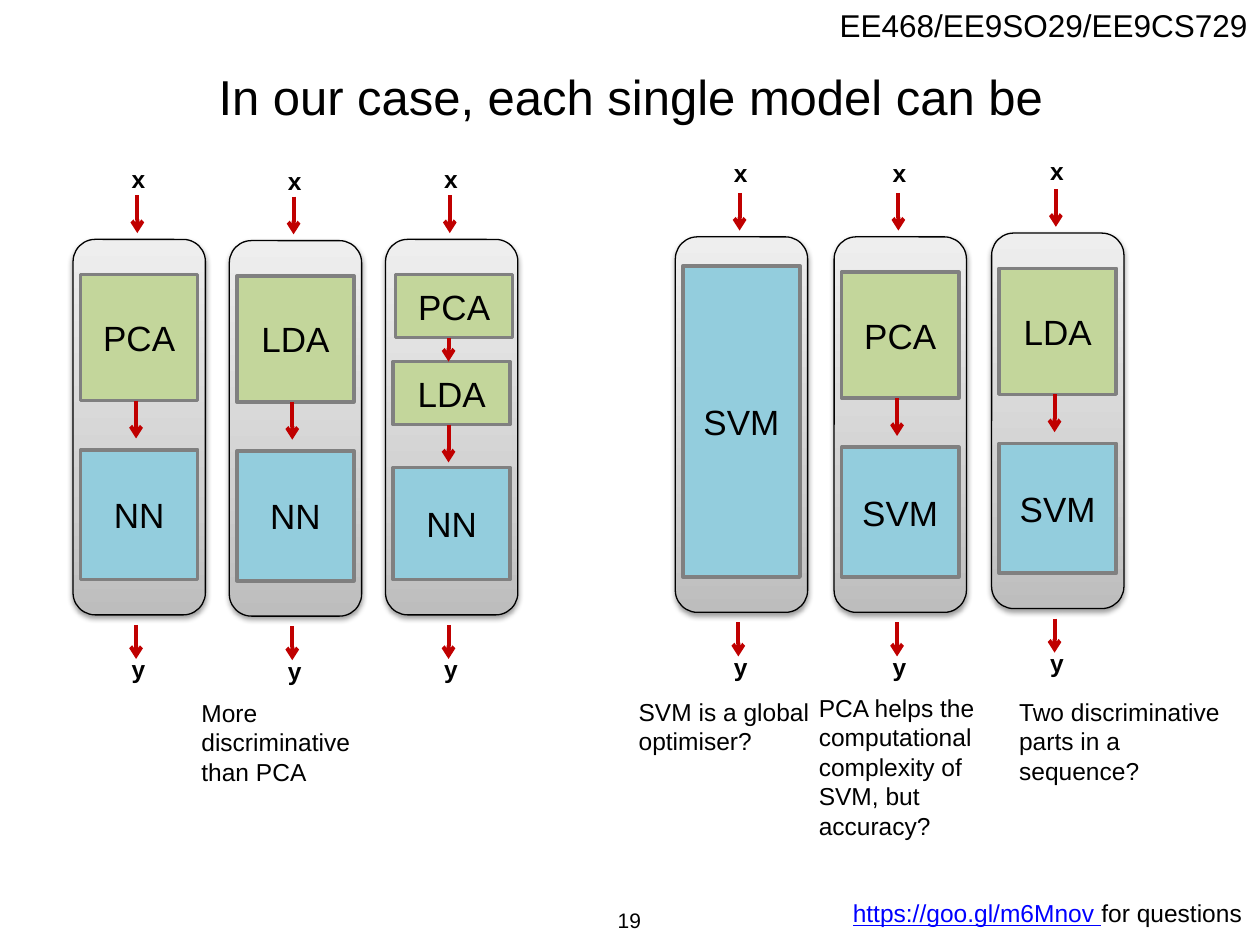
from copy import deepcopy

from lxml.etree import SubElement
from pptx import Presentation
from pptx.dml.color import RGBColor
from pptx.enum.shapes import MSO_CONNECTOR as Link, MSO_SHAPE as Preset
from pptx.enum.text import MSO_ANCHOR as Anchor, MSO_AUTO_SIZE as Fit, PP_ALIGN as Align
from pptx.oxml.ns import qn
from pptx.util import Inches, Pt

# Positions and sizes are counted in cells of a square grid, 100 columns by 75 rows.
CELL = Inches(0.1)
COLUMNS, ROWS = 100, 75

COLORS = {
    "text": "000000", "link": "0000FF", "arrow": "C00000",
    "reducer": "C3D69B", "classifier": "93CDDD", "stage edge": "808080",
    "pillar edge": "000000", "pillar bottom": "BDBDBD",
    "pillar middle": "D1D1D1", "pillar top": "EEEEEE",
}
PILLAR_WIDTH, PILLAR_HEIGHT = 10.5, 29.8
STAGE_INSET, STAGE_WIDTH = 0.6, 9.3
ARROW_LENGTH = 3

# A stage is (name, role, rows below the pillar top, height in rows, shift in columns).
def two_stages(reducer, classifier):
    return [(reducer, "reducer", 2.8, 10, 0), (classifier, "classifier", 16.7, 10.3, 0)]


THREE_STAGES = [
    ("PCA", "reducer", 2.8, 5, 0.2),
    ("LDA", "reducer", 9.7, 5, 0),
    ("NN", "classifier", 18.1, 8.9, 0),
]
# A model is (left, top, rows from the pillar top up to the input label, stages).
MODELS = [
    (5.8, 19, 6.6, two_stages("PCA", "NN")),
    (18.2, 19.1, 6.6, two_stages("LDA", "NN")),
    (30.6, 19, 6.6, THREE_STAGES),
    (53.6, 18.8, 6.9, [("SVM", "classifier", 2.3, 24.7, 0)]),
    (66.2, 18.8, 6.9, two_stages("PCA", "SVM")),
    (78.7, 18.5, 6.8, two_stages("LDA", "SVM")),
]
REMARKS = [
    ("More discriminative than PCA", (15, 54.9, 14.8, 8.1)),
    ("SVM is a global optimiser?", (49.7, 54.8, 15.9, 5.7)),
    ("PCA helps the computational complexity of SVM, but accuracy?", (64, 54.5, 16, 12.8)),
    ("Two discriminative parts in a sequence?", (79.9, 54.8, 18.4, 8.1)),
]


def color(name):
    return RGBColor.from_string(COLORS[name])


def cells(*counts):
    return [round(count * CELL) for count in counts]


def apply(target, values):
    for name, value in values.items():
        setattr(target, name, value)


def write(shape, runs, size, align=Align.LEFT, bold=False, **frame_format):
    """Fill the shape with one paragraph; each run is (words, color name, underline)."""
    apply(shape.text_frame, {"word_wrap": True, "vertical_anchor": Anchor.TOP, **frame_format})
    paragraph = shape.text_frame.paragraphs[0]
    paragraph.alignment = align
    for words, color_name, underline in runs:
        run = paragraph.add_run()
        run.text = words
        apply(run.font, {"name": "Arial", "size": Pt(size), "bold": bold,
                         "underline": underline})
        run.font.color.rgb = color(color_name)


def add_text(slide, box, runs, size, **style):
    if isinstance(runs, str):
        runs = [(runs, "text", False)]
    write(slide.shapes.add_textbox(*cells(*box)), runs, size, **style)


def add_block(slide, preset, box, edge=None, edge_width=0):
    block = slide.shapes.add_shape(preset, *cells(*box))
    block.shadow.inherit = False
    if edge:
        block.line.color.rgb = color(edge)
        block.line.width = Pt(edge_width)
    else:
        block.line.fill.background()
        block.fill.background()
    return block


def add_label(slide, letter, left, top):
    label = add_block(slide, Preset.ROUNDED_RECTANGLE, (left, top, 3.6, 3.1))
    write(label, [(letter, "text", False)], 14, Align.CENTER, bold=True,
          auto_size=Fit.SHAPE_TO_FIT_TEXT)


def add_arrow(slide, x, top, length=ARROW_LENGTH):
    arrow = slide.shapes.add_connector(Link.STRAIGHT, *cells(x, top, x, top + length))
    arrow.line.color.rgb = color("arrow")
    arrow.line.width = Pt(2.25)
    SubElement(arrow.line._get_or_add_ln(), qn("a:tailEnd"), type="arrow")
    SubElement(arrow._element.spPr, qn("a:effectLst"))


def add_pillar(slide, left, top):
    """Draw the shaded, softly shadowed body that holds the stages of a model."""
    pillar = add_block(slide, Preset.ROUNDED_RECTANGLE,
                       (left, top, PILLAR_WIDTH, PILLAR_HEIGHT), "pillar edge", 0.75)
    properties = pillar._element.spPr
    pillar.fill.gradient()
    pillar.fill.gradient_angle = 90
    stops = properties.find(".//" + qn("a:gsLst"))
    stops.append(deepcopy(stops[-1]))
    shades = [(0, "pillar bottom"), (0.35, "pillar middle"), (1, "pillar top")]
    for stop, (position, shade) in zip(pillar.fill.gradient_stops, shades):
        stop.position = position
        stop.color.rgb = color(shade)
    shadow = SubElement(properties.find(qn("a:effectLst")), qn("a:outerShdw"),
                        blurRad=str(Pt(3.1)), dist=str(Pt(1.6)), dir="5400000",
                        rotWithShape="0")
    tint = SubElement(shadow, qn("a:srgbClr"), val=COLORS["pillar edge"])
    SubElement(tint, qn("a:alpha"), val="38000")


def add_stage(slide, name, role, box):
    stage = add_block(slide, Preset.RECTANGLE, box, "stage edge", 2)
    stage.fill.solid()
    stage.fill.fore_color.rgb = color(role)
    write(stage, [(name, "text", False)], 20, Align.CENTER, vertical_anchor=Anchor.MIDDLE)


def add_model(slide, left, top, label_rise, stages):
    flow = left + 5
    add_label(slide, "x", left + 3.4, top - label_rise)
    add_arrow(slide, flow + 0.1, top - 3.5)
    add_pillar(slide, left, top)
    for name, role, drop, height, shift in stages:
        add_stage(slide, name, role,
                  (left + STAGE_INSET + shift, top + drop, STAGE_WIDTH, height))
    for (_, _, drop, height, _), following in zip(stages, stages[1:]):
        end = drop + height
        add_arrow(slide, flow, top + end, min(ARROW_LENGTH, following[2] - end))
    add_arrow(slide, flow, top + PILLAR_HEIGHT + 0.8, 2.7)
    add_label(slide, "y", left + 3.4, top + PILLAR_HEIGHT + 2.5)


def main():
    deck = Presentation()
    deck.slide_width, deck.slide_height = cells(COLUMNS, ROWS)
    slide = deck.slides.add_slide(deck.slide_layouts[6])

    add_text(slide, (64.5, 0, 35.5, 4), "EE468/EE9SO29/EE9CS729", 18, align=Align.RIGHT,
             word_wrap=False, auto_size=Fit.SHAPE_TO_FIT_TEXT)
    add_text(slide, (1.7, 2.8, 96.7, 9.7), "In our case, each single model can be", 28,
             align=Align.CENTER, vertical_anchor=Anchor.MIDDLE)
    for model in MODELS:
        add_model(slide, *model)
    for remark, box in REMARKS:
        add_text(slide, box, remark, 14, auto_size=Fit.SHAPE_TO_FIT_TEXT)
    add_text(slide, (38.3, 71, 23.3, 4), "19", 12,
             align=Align.CENTER, vertical_anchor=Anchor.MIDDLE)
    questions = [("https://goo.gl/m6Mnov ", "link", True), ("for questions", "text", False)]
    add_text(slide, (66.7, 70.8, 33.3, 3.4), questions, 14, auto_size=Fit.SHAPE_TO_FIT_TEXT)

    deck.save("out.pptx")


if __name__ == "__main__":
    main()
